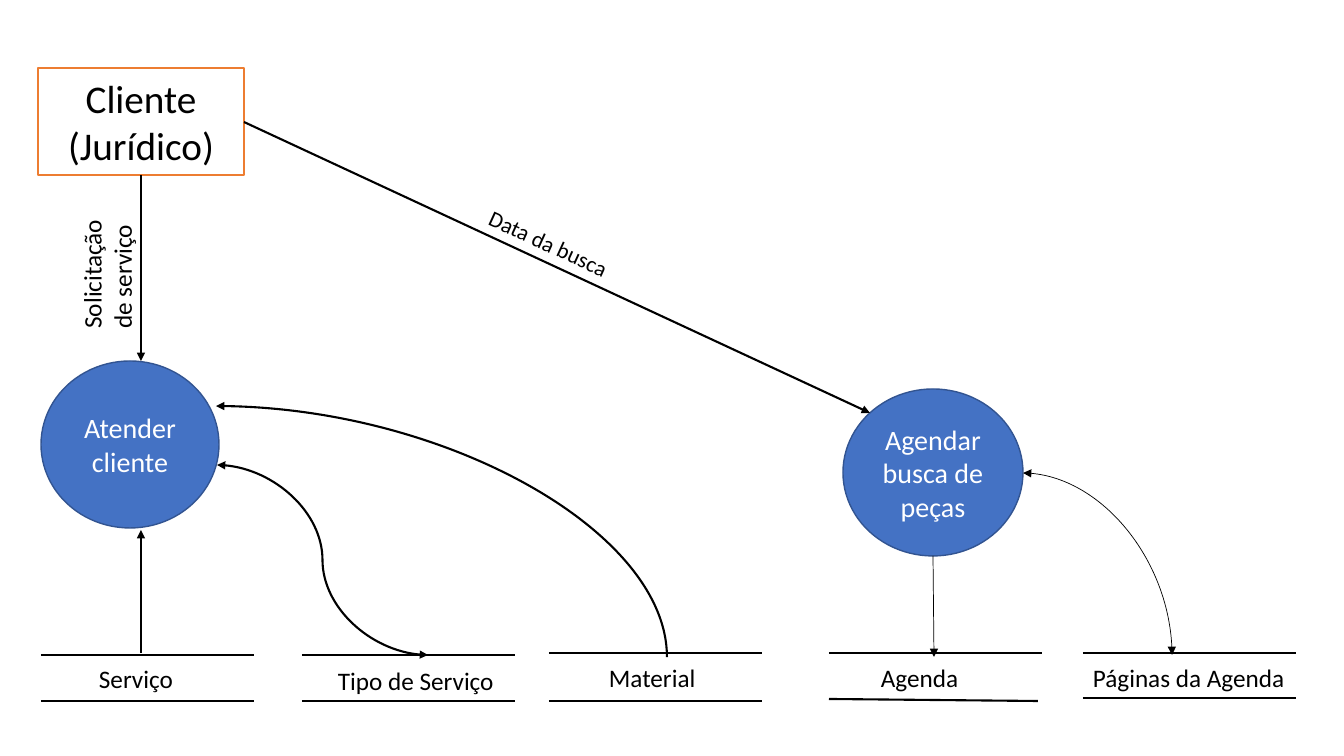
from lxml import etree
from pptx import Presentation
from pptx.dml.color import RGBColor
from pptx.enum.shapes import MSO_CONNECTOR, MSO_SHAPE
from pptx.enum.text import MSO_ANCHOR, MSO_AUTO_SIZE, PP_ALIGN
from pptx.oxml.ns import qn
from pptx.util import Inches, Pt

RECT, OVAL = MSO_SHAPE.RECTANGLE, MSO_SHAPE.OVAL
LINE, CURVE = MSO_CONNECTOR.STRAIGHT, MSO_CONNECTOR.CURVE
LEFT, CENTER = PP_ALIGN.LEFT, PP_ALIGN.CENTER
MIDDLE, GROW = MSO_ANCHOR.MIDDLE, MSO_AUTO_SIZE.SHAPE_TO_FIT_TEXT
SCALE = Inches(1) / 100.8
BLACK, WHITE, BLUE = "000000", "FFFFFF", "4472C4"
HEAD, TAIL = "a:headEnd", "a:tailEnd"


def paint(form, tone):
    """Give a fill, line fill or font colour a solid hex colour."""
    form.solid()
    form.fore_color.rgb = RGBColor.from_string(tone)


def write(shape, text, size=18, tone=BLACK, align=LEFT):
    """Write text into a shape, one paragraph for each line."""
    frame = shape.text_frame
    frame.text = text
    for para in frame.paragraphs:
        para.alignment = align
        font = para.runs[0].font
        font.name, font.size = "Calibri", Pt(size)
        paint(font.fill, tone)


deck = Presentation()
deck.slide_width, deck.slide_height = Inches(13.333), Inches(7.5)
slide = deck.slides.add_slide(deck.slide_layouts[6])
shapes = slide.shapes

# Client and processes: kind, box, fill, line, text, size, text colour
nodes = [
    (RECT, (38, 68, 206, 107), WHITE, "ED7D31", "Cliente\n(Jurídico)", 28, BLACK),
    (OVAL, (41, 361, 178, 167), BLUE, "325491", "Atender cliente", 20, WHITE),
    (OVAL, (843, 389, 180, 167), BLUE, "325491", "Agendar busca de peças", 20, WHITE),
]
for kind, box, fill, edge, text, size, tone in nodes:
    node = shapes.add_shape(kind, *[round(v * SCALE) for v in box])
    node.shadow.inherit = False
    paint(node.fill, fill)
    paint(node.line.fill, edge)
    node.line.width = Pt(1)
    node.text_frame.vertical_anchor = MIDDLE
    write(node, text, size=size, tone=tone, align=CENTER)

# Flows: kind, preset, start and end, width, arrowheads
flows = [
    (LINE, "line", (141, 175, 141, 361), 1.5, [TAIL]),
    (LINE, "line", (141, 653, 141, 530), 1.5, [TAIL]),
    (LINE, "line", (244, 122, 870, 413), 1.5, [TAIL]),
    (LINE, "line", (933, 556, 934, 657), 0.5, [TAIL]),
    (CURVE, "curvedConnector3", (217, 465, 428, 655), 1.5, [HEAD, TAIL]),
    (CURVE, "curvedConnector2", (216, 406, 667, 657), 1.5, [HEAD]),
    (CURVE, "curvedConnector2", (1023, 473, 1172, 655), 0.5, [HEAD, TAIL]),
]
# Data stores: left, top and bottom rules
stores = [(41, 655, 701), (302, 655, 701), (549, 653, 701),
          (829, 653, 699), (1083, 653, 698)]
for left, top, base in stores:
    flows.append((LINE, "line", (left, top, left + 213, top), 1.5, []))
    end = (left + 209, base + 2) if left == 829 else (left + 213, base)
    flows.append((LINE, "line", (left, base, *end), 1.5, []))

for kind, preset, ends, width, heads in flows:
    flow = shapes.add_connector(kind, *[round(v * SCALE) for v in ends])
    paint(flow.line.fill, BLACK)
    flow.line.width = Pt(width)
    props = flow._element.spPr
    props.find(qn("a:prstGeom")).set("prst", preset)
    for head in heads:
        etree.SubElement(props.find(qn("a:ln")), qn(head), type="triangle")
    etree.SubElement(props, qn("a:effectLst"))

# Labels: text, box, size, rotation, wrap
labels = [
    ("Serviço", (89, 658, 183, 40), 18, 0, True),
    ("Tipo de Serviço", (328, 660, 178, 40), 18, 0, False),
    ("Material", (599, 657, 135, 40), 18, 0, True),
    ("Agenda", (871, 657, 125, 40), 18, 0, True),
    ("Páginas da Agenda", (1083, 657, 297, 40), 18, 0, True),
    ("Data da busca", (475, 225, 148, 37), 16, 24.6, False),
    ("Solicitação de serviço", (35, 230, 145, 72), 18, 270, True),
]
for text, box, size, turn, wrap in labels:
    label = shapes.add_textbox(*[round(v * SCALE) for v in box])
    label.rotation = turn
    label.text_frame.word_wrap = wrap
    label.text_frame.auto_size = GROW
    write(label, text, size=size)

deck.save("out.pptx")
